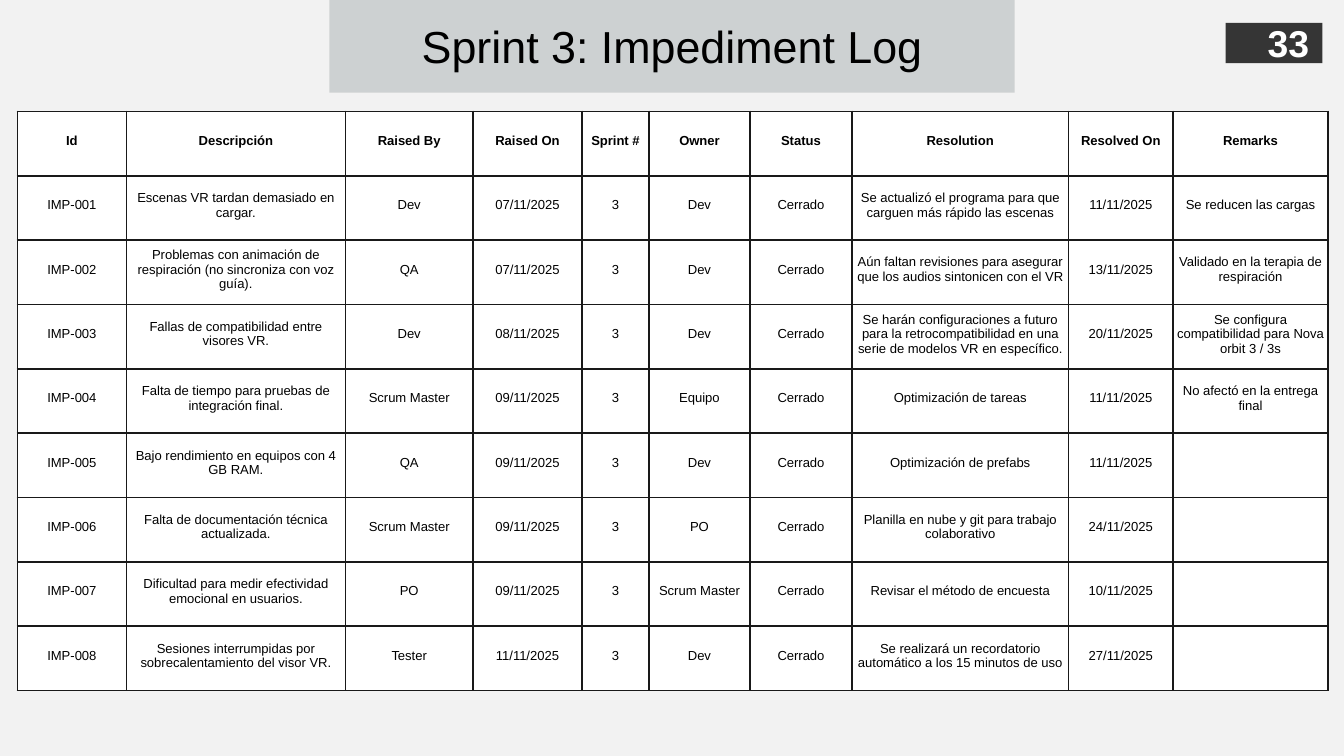
from pptx import Presentation, util as u
from pptx.dml.color import RGBColor
from pptx.enum import shapes, text
from pptx.oxml import parse_xml
from pptx.oxml.ns import nsdecls, qn
from lxml import etree

HEX = {"page": "F2F2F2", "band": "C4C9CA", "dark": "191919",
       "ink": "000000", "white": "FFFFFF"}
FONT = "Arial"
WIDE = 10
COLS = [0.81, 1.63, 0.95, 0.81, 0.5, 0.75, 0.76, 1.61, 0.78, 1.15]
TALL = 4.31
SPRINT, STATE = "3", "Cerrado"
HEAD = ["Id", "Descripción", "Raised By", "Raised On", "Sprint #", "Owner",
        "Status", "Resolution", "Resolved On", "Remarks"]
# Description, raised by, raised on, owner, resolution, resolved on, remarks
ITEMS = [
    ("Escenas VR tardan demasiado en cargar.", "Dev", "07/11/2025", "Dev",
     "Se actualizó el programa para que carguen más rápido las escenas",
     "11/11/2025", "Se reducen las cargas"),
    ("Problemas con animación de respiración (no sincroniza con voz guía).",
     "QA", "07/11/2025", "Dev",
     "Aún faltan revisiones para asegurar que los audios sintonicen con el VR",
     "13/11/2025", "Validado en la terapia de respiración"),
    ("Fallas de compatibilidad entre visores VR.", "Dev", "08/11/2025", "Dev",
     "Se harán configuraciones a futuro para la retrocompatibilidad en una "
     "serie de modelos VR en específico.",
     "20/11/2025", "Se configura compatibilidad para Nova orbit 3 / 3s"),
    ("Falta de tiempo para pruebas de integración final.", "Scrum Master",
     "09/11/2025", "Equipo", "Optimización de tareas", "11/11/2025",
     "No afectó en la entrega final"),
    ("Bajo rendimiento en equipos con 4 GB RAM.", "QA", "09/11/2025", "Dev",
     "Optimización de prefabs", "11/11/2025", ""),
    ("Falta de documentación técnica actualizada.", "Scrum Master",
     "09/11/2025", "PO", "Planilla en nube y git para trabajo colaborativo",
     "24/11/2025", ""),
    ("Dificultad para medir efectividad emocional en usuarios.", "PO",
     "09/11/2025", "Scrum Master", "Revisar el método de encuesta",
     "10/11/2025", ""),
    ("Sesiones interrumpidas por sobrecalentamiento del visor VR.", "Tester",
     "11/11/2025", "Dev",
     "Se realizará un recordatorio automático a los 15 minutos de uso",
     "27/11/2025", ""),
]


def paint(fill, name, alpha=100):
    """Fill with a named colour at a given percentage of opacity."""
    fill.solid()
    fill.fore_color.rgb = RGBColor.from_string(HEX[name])
    if alpha < 100:
        color = fill._xPr.find(qn("a:solidFill"))[0]
        etree.SubElement(color, qn("a:alpha"), val=str(alpha * 1000))


def write(frame, words, size, color="ink", bold=False,
          align=text.PP_ALIGN.CENTER):
    frame.text = words
    para = frame.paragraphs[0]
    para.alignment = align
    font = para.font
    font.name, font.size, font.bold = FONT, u.Pt(size), bold
    font.color.rgb = RGBColor.from_string(HEX[color])


def add_title(slide, words):
    title = slide.shapes.title
    title.left, title.top = u.Inches(2.45), u.Inches(-0.01)
    title.width, title.height = u.Inches(5.1), u.Inches(0.7)
    paint(title.fill, "band", 80)
    frame = title.text_frame
    frame.auto_size = text.MSO_AUTO_SIZE.NONE
    frame.vertical_anchor = text.MSO_ANCHOR.MIDDLE
    frame.margin_left = frame.margin_right = u.Inches(0.1)
    frame.margin_top = frame.margin_bottom = u.Inches(0.1)
    write(frame, words, 24)


def add_badge(slide, words):
    badge = slide.shapes.add_shape(
        shapes.MSO_SHAPE.RECTANGLE, u.Inches(9.12), u.Inches(0.17),
        u.Inches(0.72), u.Inches(0.3))
    badge.shadow.inherit = False
    badge.line.fill.background()
    paint(badge.fill, "dark", 87)
    badge.text_frame.vertical_anchor = text.MSO_ANCHOR.MIDDLE
    write(badge.text_frame, words, 20, "white", True, text.PP_ALIGN.RIGHT)


def edge(cell):
    """Draw a thin border on all four sides of a cell."""
    props = cell._tc.get_or_add_tcPr()
    for side in ("lnL", "lnR", "lnT", "lnB"):
        props.append(parse_xml(
            f'<a:{side} {nsdecls("a")} w="{u.Pt(1)}"><a:solidFill>'
            f'<a:srgbClr val="{HEX["dark"]}"/></a:solidFill></a:{side}>'))


def add_log(slide, rows):
    table = slide.shapes.add_table(
        len(rows), len(COLS), u.Inches(0.13), u.Inches(0.83),
        u.Inches(sum(COLS)), u.Inches(TALL)).table
    table.first_row = table.horz_banding = False
    for col, width in zip(table.columns, COLS):
        col.width = u.Inches(width)
    for r, row in enumerate(rows):
        table.rows[r].height = u.Inches(TALL / len(rows))
        for c, words in enumerate(row):
            cell = table.cell(r, c)
            edge(cell)
            paint(cell.fill, "white")
            cell.vertical_anchor = text.MSO_ANCHOR.MIDDLE
            cell.margin_left = cell.margin_right = u.Inches(0.01)
            cell.margin_top, cell.margin_bottom = u.Inches(0.01), u.Inches(0.05)
            write(cell.text_frame, words, 7, bold=r == 0)


def main():
    deck = Presentation()
    deck.slide_width = u.Inches(WIDE)
    deck.slide_height = u.Inches(WIDE * 9 / 16)
    slide = deck.slides.add_slide(deck.slide_layouts[5])
    paint(slide.background.fill, "page")
    add_title(slide, "Sprint 3: Impediment Log")
    add_badge(slide, "33")
    rows = [HEAD]
    for num, item in enumerate(ITEMS, 1):
        rows.append([f"IMP-{num:03}", *item[:3], SPRINT, item[3], STATE,
                     *item[4:]])
    add_log(slide, rows)
    deck.save("out.pptx")


if __name__ == "__main__":
    main()
